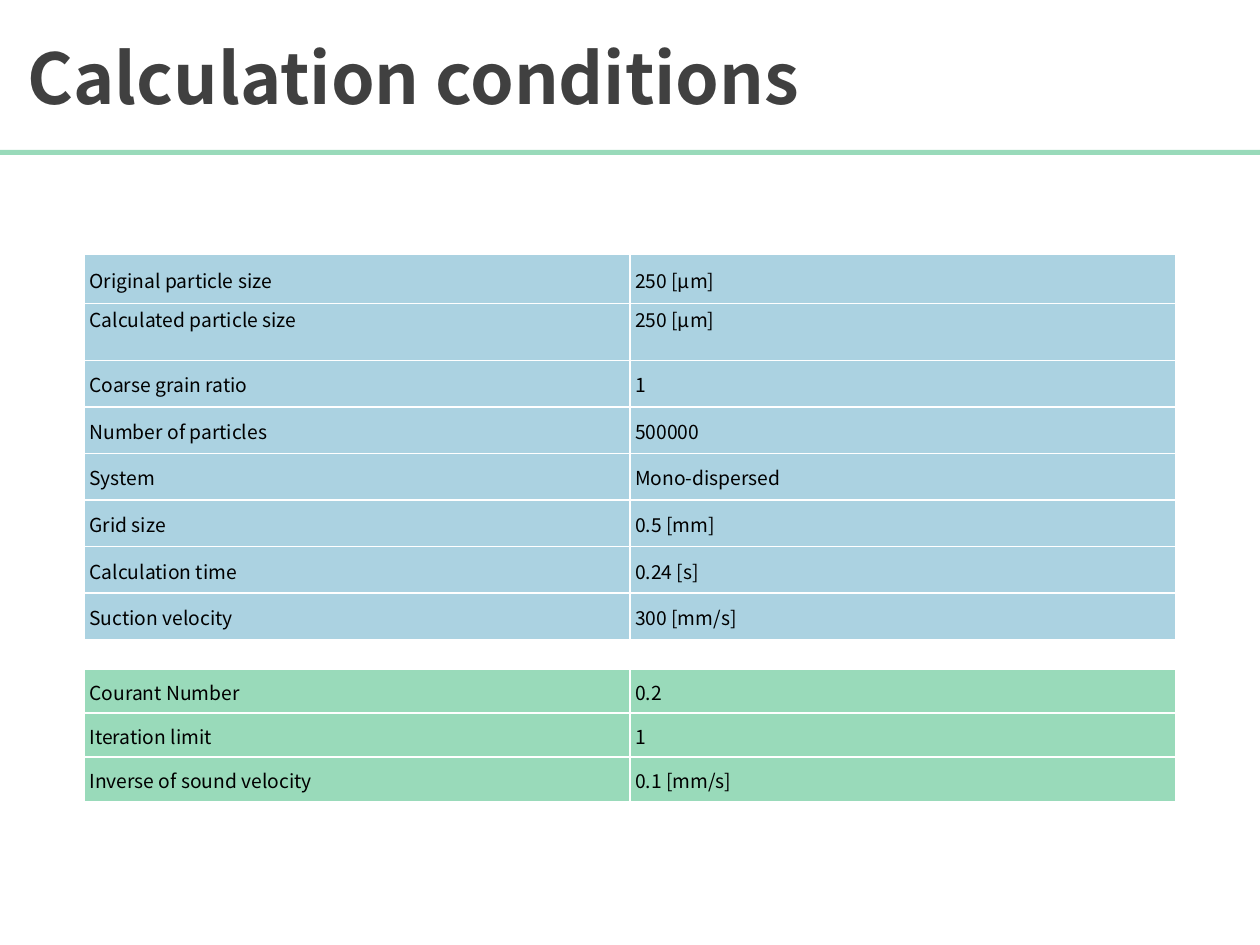
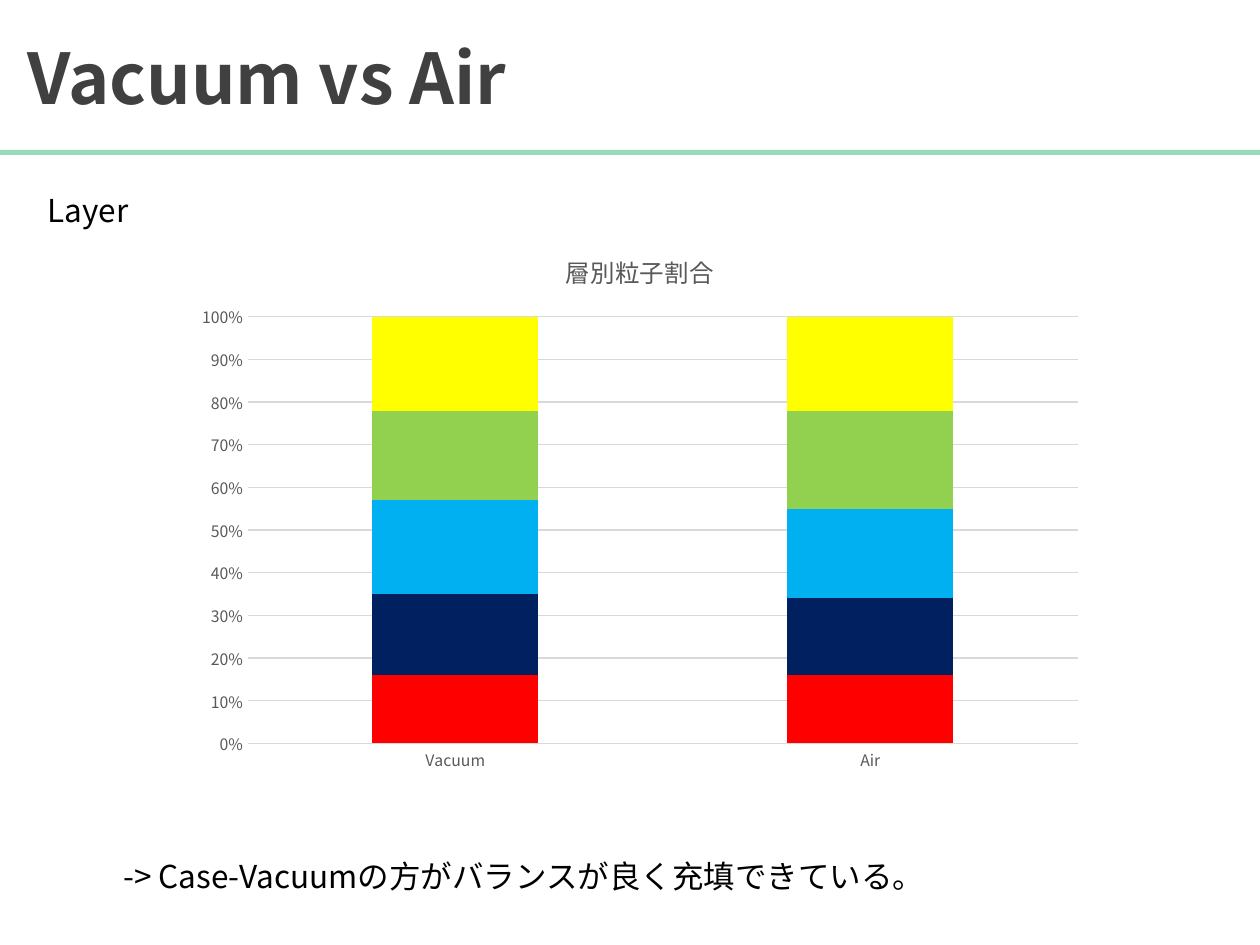
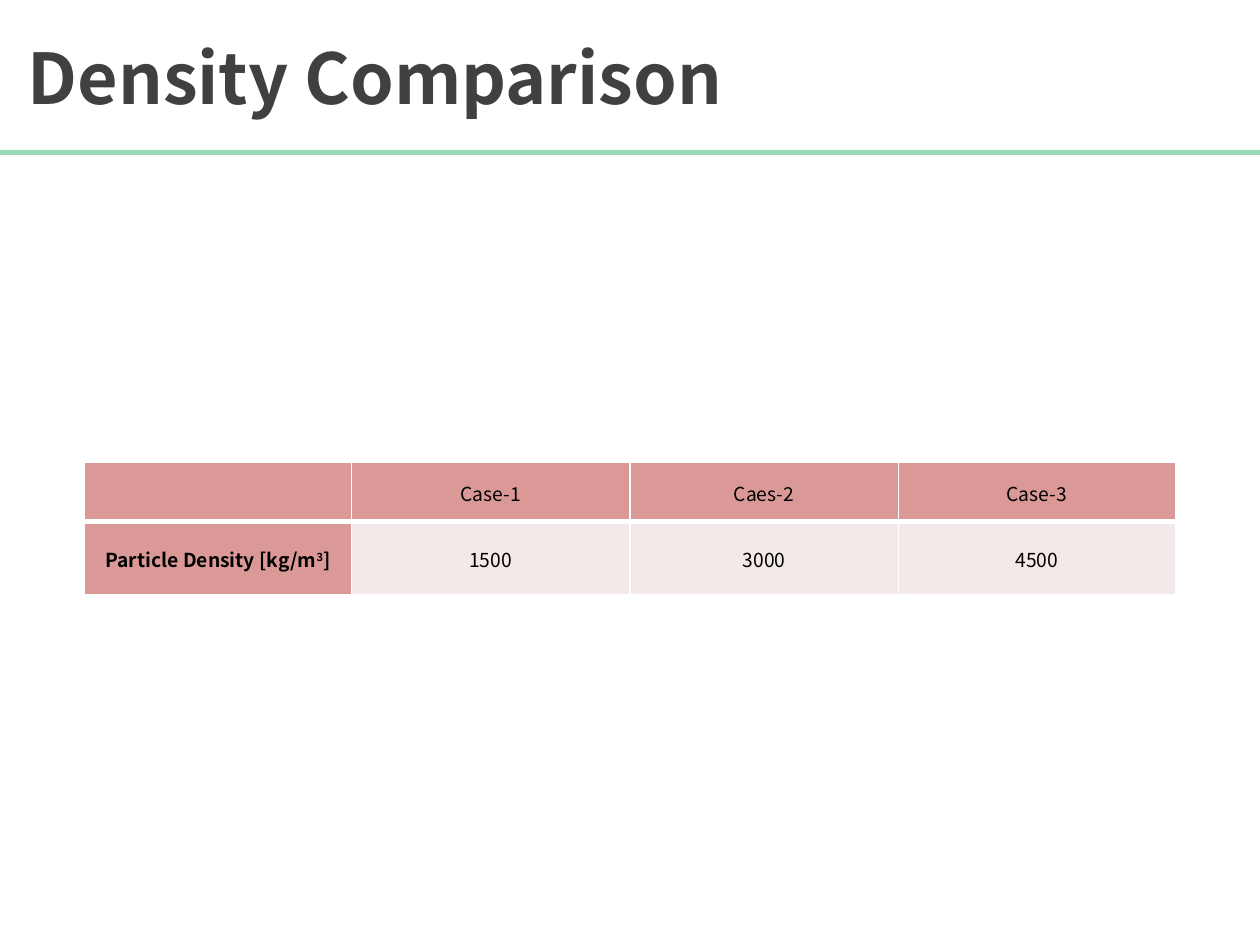
from lxml import etree
from pptx import Presentation
from pptx.chart.data import CategoryChartData as ChartData
from pptx.dml.color import RGBColor as RGB
from pptx.enum.chart import XL_CHART_TYPE as Kind, XL_TICK_MARK as Tick
from pptx.enum.shapes import MSO_SHAPE as Shape
from pptx.enum.text import MSO_ANCHOR as Anchor, MSO_AUTO_SIZE as Auto, PP_ALIGN as Align
from pptx.oxml import parse_xml
from pptx.oxml.ns import nsdecls, qn
from pptx.util import Inches, Pt

FONT = "Noto Sans CJK KR"
BLACK = RGB(0, 0, 0)
DARK = RGB(0x40, 0x40, 0x40)
GREY = RGB(0x59, 0x59, 0x59)
PALE = RGB(0xD9, 0xD9, 0xD9)
GREEN = RGB(0x99, 0xDA, 0xBA)
BLUE = RGB(0xAB, 0xD2, 0xE1)
ROSE = RGB(0xDA, 0x99, 0x97)
BLUSH = RGB(0xF4, 0xE9, 0xE9)

LEFT, WIDE = 0.67, 8.66

SETUP = [
    ("Original particle size", "250 [μm]"),
    ("Calculated particle size", "250 [μm]"),
    ("Coarse grain ratio", "1"),
    ("Number of particles", "500000"),
    ("System", "Mono-dispersed"),
    ("Grid size", "0.5 [mm]"),
    ("Calculation time", "0.24 [s]"),
    ("Suction velocity", "300 [mm/s]"),
]
SOLVER = [
    ("Courant Number", "0.2"),
    ("Iteration limit", "1"),
    ("Inverse of sound velocity", "0.1 [mm/s]"),
]
DENSITY = [
    ("", "Case-1", "Caes-2", "Case-3"),
    ("Particle Density [kg/m^3^]", "1500", "3000", "4500"),
]
LAYERS = [
    ((16, 16), RGB(0xFF, 0, 0)),
    ((19, 18), RGB(0, 0x20, 0x60)),
    ((22, 21), RGB(0, 0xB0, 0xF0)),
    ((21, 23), RGB(0x92, 0xD0, 0x50)),
    ((22, 22), RGB(0xFF, 0xFF, 0)),
]


def style(font, size, color=BLACK, bold=False):
    font.name, font.size, font.bold = FONT, Pt(size), bold
    font.color.rgb = color
    etree.SubElement(font._rPr, qn("a:ea")).set("typeface", FONT)


def write(frame, text, size=11, color=BLACK, bold=False, align=Align.LEFT):
    """Fill the frame; parts between ^ marks are superscript."""
    para = frame.paragraphs[0]
    para.alignment = align
    for i, part in enumerate(text.split("^")):
        run = para.add_run()
        run.text = part
        style(run.font, size, color, bold)
        if i % 2:
            run.font._rPr.set("baseline", "30000")


def start(deck, name):
    """Add a slide with its title and the green rule."""
    slide = deck.slides.add_slide(deck.slide_layouts[5])
    title = slide.shapes.title
    title.left, title.top = Inches(0), Inches(0.02)
    title.width, title.height = Inches(10), Inches(1.17)
    frame = title.text_frame
    frame.margin_left = Inches(0.22)
    frame.vertical_anchor = Anchor.MIDDLE
    write(frame, name, size=40, color=DARK, bold=True)
    rule = slide.shapes.add_shape(
        Shape.RECTANGLE, Inches(0), Inches(1.19), Inches(10), Inches(0.04))
    rule.fill.solid()
    rule.fill.fore_color.rgb = GREEN
    rule.line.fill.background()
    rule.shadow.inherit = False
    return slide


def label(slide, text, left, top, width):
    box = slide.shapes.add_textbox(
        Inches(left), Inches(top), Inches(width), Inches(0.4))
    frame = box.text_frame
    frame.word_wrap = True
    frame.auto_size = Auto.SHAPE_TO_FIT_TEXT
    write(frame, text, size=18)


def edge(cell, top=1, bottom=1):
    """Draw white borders, widths in points."""
    props = cell._tc.get_or_add_tcPr()
    for side, width in zip("LRTB", (1, 1, top, bottom)):
        props.append(parse_xml(
            f'<a:ln{side} {nsdecls("a")} w="{Pt(width)}"><a:solidFill>'
            f'<a:srgbClr val="FFFFFF"/></a:solidFill></a:ln{side}>'))


def grid(slide, rows, top, cols, highs):
    """Add a plain table and return it."""
    table = slide.shapes.add_table(
        len(rows), len(cols), Inches(LEFT), Inches(top),
        Inches(WIDE), Inches(sum(highs))).table
    table.first_row = table.horz_banding = False
    for col, width in zip(table.columns, cols):
        col.width = Inches(width)
    for row, high in zip(table.rows, highs):
        row.height = Inches(high)
    return table


def put(cell, text, fill, inset=0.01, **form):
    cell.margin_left = Inches(inset)
    cell.margin_right = cell.margin_top = Inches(0.01)
    cell.margin_bottom = 0
    cell.vertical_anchor = Anchor.MIDDLE
    cell.fill.solid()
    cell.fill.fore_color.rgb = fill
    if text:
        write(cell.text_frame, text, **form)


def pairs(slide, rows, top, highs, fill):
    """Add a table of names and values in one colour."""
    table = grid(slide, rows, top, [WIDE / 2] * 2, highs)
    for r, row in enumerate(rows):
        for c, text in enumerate(row):
            edge(table.cell(r, c))
            put(table.cell(r, c), text, fill, inset=0.04)
    return table


def cases(slide):
    table = grid(slide, DENSITY, 3.67, [2.12, 2.21, 2.13, 2.2], [0.47, 0.58])
    for r, row in enumerate(DENSITY):
        for c, text in enumerate(row):
            cell = table.cell(r, c)
            edge(cell, top=3 if r else 1, bottom=1 if r else 3)
            put(cell, text, BLUSH if r and c else ROSE,
                bold=r == 1 and c == 0, align=Align.CENTER)


def place(chart, x, y, w, h):
    """Fix the inner plot area as fractions of the chart."""
    area = chart._chartSpace.chart.plotArea
    for old in area.findall(qn("c:layout")):
        area.remove(old)
    spots = "".join(f'<c:{k} val="{v}"/>' for k, v in
                    zip("xywh", (x, y, w, h)))
    area.insert(0, parse_xml(
        f'<c:layout {nsdecls("c")}><c:manualLayout>'
        '<c:layoutTarget val="inner"/><c:xMode val="edge"/>'
        f'<c:yMode val="edge"/>{spots}</c:manualLayout></c:layout>'))


def stack(slide):
    """Add the chart of particle share by layer."""
    data = ChartData()
    data.categories = ["Vacuum", "Air"]
    for i, (vals, _) in enumerate(LAYERS, 1):
        data.add_series(f"Series {i}", vals)
    chart = slide.shapes.add_chart(
        Kind.COLUMN_STACKED_100, Inches(1.46), Inches(1.81),
        Inches(7.24), Inches(4.4), data).chart
    style(chart.font, 10)
    chart.has_legend = False
    chart.has_title = True
    write(chart.chart_title.text_frame, "層別粒子割合",
          size=14, color=GREY, align=Align.CENTER)
    chart.chart_title.include_in_layout = False

    plot = chart.plots[0]
    plot.gap_width, plot.overlap = 150, 100
    plot.vary_by_categories = False
    for bar, (_, color) in zip(plot.series, LAYERS):
        bar.format.fill.solid()
        bar.format.fill.fore_color.rgb = color

    cat, val = chart.category_axis, chart.value_axis
    for axis in (cat, val):
        axis.major_tick_mark = axis.minor_tick_mark = Tick.NONE
        style(axis.tick_labels.font, 9, GREY)
    val.has_major_gridlines = True
    for line in (cat.format.line, val.major_gridlines.format.line):
        line.color.rgb = PALE
        line.width = Pt(0.75)
    val.format.line.fill.background()
    val.minimum_scale, val.maximum_scale, val.major_unit = 0, 1, 0.1
    val.tick_labels.number_format = "0%"
    val.tick_labels.number_format_is_linked = False
    place(chart, 0.07, 0.16, 0.91, 0.77)


def main():
    deck = Presentation()
    deck.slide_width, deck.slide_height = Inches(10), Inches(7.5)

    slide = start(deck, "Calculation conditions")
    table = pairs(slide, SETUP, 2.02, [0.39, 0.45] + [0.37] * 6, BLUE)
    for cell in table.rows[1].cells:
        cell.vertical_anchor = Anchor.TOP
    pairs(slide, SOLVER, 5.31, [0.35] * 3, GREEN)

    slide = start(deck, "Vacuum vs Air")
    label(slide, "Layer", 0.28, 1.47, 5.2)
    stack(slide)
    label(slide, "-> Case-Vacuumの方がバランスが良く充填できている。", 0.88, 6.75, 8.07)

    cases(start(deck, "Density Comparison"))
    deck.save("out.pptx")


if __name__ == "__main__":
    main()
